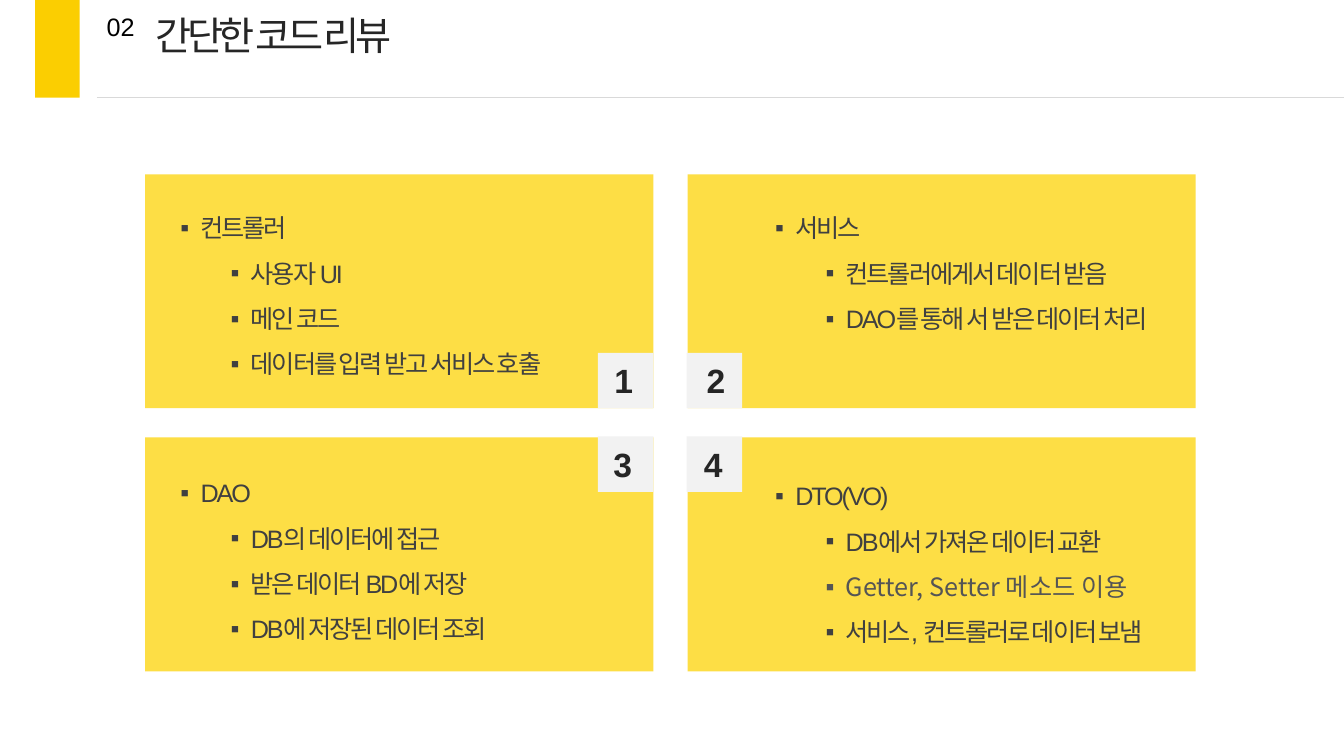
from lxml.etree import SubElement
from pptx import Presentation
from pptx.dml.color import RGBColor
from pptx.enum.shapes import MSO_CONNECTOR, MSO_SHAPE
from pptx.enum.text import MSO_ANCHOR, MSO_AUTO_SIZE, PP_ALIGN
from pptx.oxml.ns import qn
from pptx.util import Inches, Pt

GOLD = RGBColor(0xFB, 0xCE, 0x01)
YELLOW = RGBColor(0xFD, 0xDE, 0x45)
PALE = RGBColor(0xF2, 0xF2, 0xF2)
RULE = RGBColor(0xD9, 0xD9, 0xD9)
BLACK = RGBColor(0, 0, 0)
INK = RGBColor(0x26, 0x26, 0x26)
BODY = RGBColor(0x40, 0x40, 0x40)
SOFT = RGBColor(0x55, 0x55, 0x55)
LATIN, KOREAN = "Arial", "Noto Sans CJK KR"

CARD_WIDTH, CARD_HEIGHT, BADGE_SIZE = 5.04, 2.32, 0.55
CARD_LEFTS, CARD_TOPS = (1.44, 6.82), (1.73, 4.34)
BADGE_LEFTS, BADGE_TOPS = (5.93, 6.81), (3.5, 4.33)

# Number left and width; list left, top and width; list lines
TOPICS = [
    (5.99, 0.39, (1.69, 1.91, 4.11),
     ["컨트롤러", "사용자 UI", "메인 코드", "데이터를 입력 받고 서비스 호출"]),
    (6.84, 0.52, (7.59, 1.91, 4.18),
     ["서비스", "컨트롤러에게서 데이터 받음", "DAO를 통해 서 받은 데이터 처리"]),
    (5.98, 0.39, (1.69, 4.54, 3.45),
     ["DAO", "DB의 데이터에 접근", "받은 데이터 BD에 저장", "DB에 저장된 데이터 조회"]),
    (6.88, 0.39, (7.59, 4.57, 4.16),
     ["DTO(VO)", "DB에서 가져온 데이터 교환", "Getter, Setter 메소드 이용",
      "서비스, 컨트롤러로 데이터 보냄"]),
]
SOFT_LINE = "Getter, Setter 메소드 이용"


class SlideBuilder:
    def __init__(self, deck):
        self.page = deck.slides.add_slide(deck.slide_layouts[5])

    def rectangle(self, left, top, width, height, color):
        box = self.page.shapes.add_shape(
            MSO_SHAPE.RECTANGLE, Inches(left), Inches(top), Inches(width), Inches(height))
        box.shadow.inherit = False
        box.fill.solid()
        box.fill.fore_color.rgb = color
        box.line.fill.background()

    def rule(self, left, right, top):
        line = self.page.shapes.add_connector(
            MSO_CONNECTOR.STRAIGHT, Inches(left), Inches(top), Inches(right), Inches(top))
        line.line.color.rgb = RULE
        line.line.width = Pt(0.5)
        SubElement(line._element.spPr, qn("a:effectLst"))

    def span(self, para, text, size, color, font=LATIN, bold=False, spacing=0):
        """Add one run; spacing is the letter spacing in points."""
        span = para.add_run()
        span.text = text
        span.font.size = Pt(size)
        span.font.bold = bold
        span.font.name = font
        span.font.color.rgb = color
        props = span._r.get_or_add_rPr()
        props.set("spc", str(int(spacing * 100)))
        SubElement(props, qn("a:ea")).set("typeface", KOREAN)

    def frame(self, box):
        """Let a text box grow with its unwrapped lines."""
        frame = box.text_frame
        frame.word_wrap = False
        frame.auto_size = MSO_AUTO_SIZE.SHAPE_TO_FIT_TEXT
        frame.vertical_anchor = MSO_ANCHOR.TOP
        return frame

    def text_box(self, left, top, width, height):
        return self.frame(self.page.shapes.add_textbox(
            Inches(left), Inches(top), Inches(width), Inches(height)))

    def title(self, text):
        box = self.page.shapes.title
        box.left, box.top = Inches(1.44), Inches(0.06)
        box.width, box.height = Inches(2.85), Inches(0.57)
        para = self.frame(box).paragraphs[0]
        para.alignment = PP_ALIGN.LEFT
        self.span(para, text, 28, INK, KOREAN, spacing=-3)

    def label(self, text, left, top, width, height, size, color, bold=False,
              align=PP_ALIGN.LEFT):
        para = self.text_box(left, top, width, height).paragraphs[0]
        para.alignment = align
        self.span(para, text, size, color, bold=bold)

    def bullets(self, left, top, width, lines):
        """Write a heading bullet with the other lines one level below it."""
        frame = self.text_box(left, top, width, 1.86)
        for index, text in enumerate(lines):
            para = frame.add_paragraph() if index else frame.paragraphs[0]
            para.level = 1 if index else 0
            para.line_spacing = 1.5
            props = para._p.get_or_add_pPr()
            props.set("marL", str(Inches(0.7 if index else 0.2)))
            props.set("indent", str(Inches(-0.2)))
            SubElement(props, qn("a:buFont")).set("typeface", LATIN)
            SubElement(props, qn("a:buChar")).set("char", "▪")
            if text == SOFT_LINE:
                self.span(para, text, 18, SOFT, KOREAN)
            else:
                self.span(para, text, 18, BODY, spacing=-1.5)


def main():
    deck = Presentation()
    deck.slide_width, deck.slide_height = Inches(13.33), Inches(7.5)
    slide = SlideBuilder(deck)

    slide.rectangle(0.35, 0, 0.44, 0.97, GOLD)
    slide.label("02", 0.96, 0.06, 0.48, 0.4, 18, BLACK)
    slide.title("간단한 코드 리뷰")
    slide.rule(0.96, 13.33, 0.97)

    for index, (number_left, number_width, place, lines) in enumerate(TOPICS):
        row, column = divmod(index, 2)
        badge_top = BADGE_TOPS[row]
        slide.rectangle(CARD_LEFTS[column], CARD_TOPS[row], CARD_WIDTH, CARD_HEIGHT, YELLOW)
        slide.rectangle(BADGE_LEFTS[column], badge_top, BADGE_SIZE, BADGE_SIZE, PALE)
        slide.label(str(index + 1), number_left, badge_top + 0.02, number_width, 0.5,
                    24, INK, bold=True, align=PP_ALIGN.CENTER)
        slide.bullets(*place, lines)

    deck.save("out.pptx")


if __name__ == "__main__":
    main()
